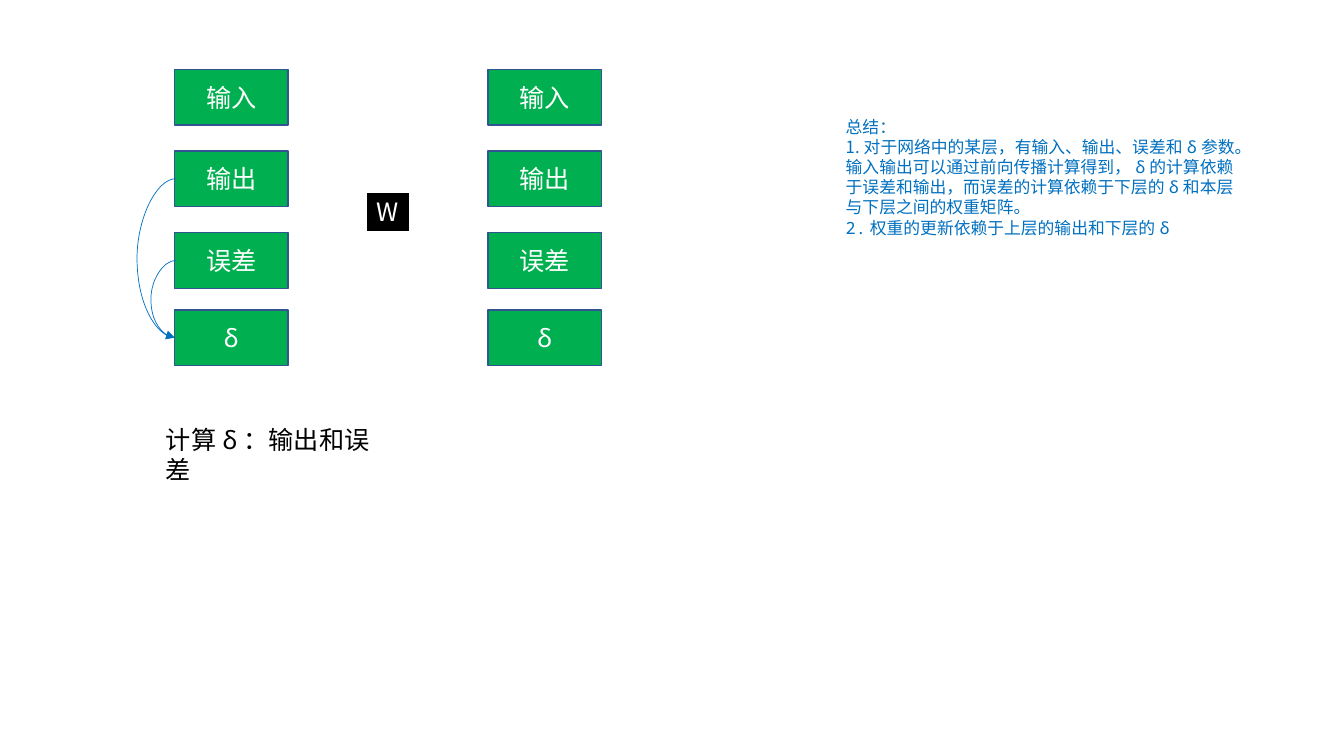
from lxml import etree
from pptx import Presentation
from pptx.dml.color import RGBColor
from pptx.enum.shapes import MSO_CONNECTOR, MSO_SHAPE
from pptx.enum.text import MSO_ANCHOR, MSO_AUTO_SIZE, PP_ALIGN
from pptx.oxml.ns import qn
from pptx.util import Pt

RECT = MSO_SHAPE.RECTANGLE
CURVE = MSO_CONNECTOR.CURVE
MIDDLE = MSO_ANCHOR.MIDDLE
CENTER = PP_ALIGN.CENTER
LEFT = PP_ALIGN.LEFT
GROW = MSO_AUTO_SIZE.SHAPE_TO_FIT_TEXT

SANS = "Noto Sans CJK SC"
MONO = "Noto Sans Mono"
GREEN, NAVY, BLUE = "00B050", "325491", "0070C0"
BLACK, WHITE = "000000", "FFFFFF"

BOX_W, BOX_H = 81, 39.7
LAYER_LEFTS = (124.7, 348.6)
ROWS = (
    (49.5, "输入", SANS),
    (107.8, "输出", SANS),
    (166.2, "误差", SANS),
    (221.3, "δ", MONO),
)
SUMMARY = (
    (("总结：", SANS),),
    (
        ("1.对于网络中的某层，有输入、输出、误差和", SANS),
        ("δ参数。输入输出可以通过前向传播计算得到，δ的计算依赖于误差和输出，"
         "而误差的计算依赖于下层的δ和本层与下层之间的权重矩阵。", MONO),
    ),
    (("2.权重的更新依赖于上层的输出和下层的δ", MONO),),
)
FORMULA = ((("计算", SANS), ("δ", MONO), ("：输出", SANS), ("和误差", MONO)),)


def rgb(value):
    return RGBColor.from_string(value)


def add_run(p, text, font, size, color):
    r = p.add_run()
    r.text = text
    r.font.name = font
    r.font.size = Pt(size)
    r.font.color.rgb = rgb(color)
    etree.SubElement(r.font._element, qn("a:ea"), typeface=font)


def add_text(s, left, top, width, height, paragraphs, size, color):
    sp = s.shapes.add_textbox(Pt(left), Pt(top), Pt(width), Pt(height))
    tf = sp.text_frame
    tf.word_wrap = True
    tf.auto_size = GROW
    for i, runs in enumerate(paragraphs):
        p = tf.add_paragraph() if i else tf.paragraphs[0]
        for text, font in runs:
            add_run(p, text, font, size, color)


def add_box(s, left, top, width, height, text, font, fill, line, weight, align):
    sp = s.shapes.add_shape(RECT, Pt(left), Pt(top), Pt(width), Pt(height))
    sp.shadow.inherit = False
    sp.fill.solid()
    sp.fill.fore_color.rgb = rgb(fill)
    sp.line.color.rgb = rgb(line)
    sp.line.width = Pt(weight)
    tf = sp.text_frame
    tf.vertical_anchor = MIDDLE
    p = tf.paragraphs[0]
    p.alignment = align
    add_run(p, text, font, 18, WHITE)
    return sp


def add_curved_arrow(s, x, y1, y2, bulge):
    c = s.shapes.add_connector(CURVE, Pt(x + 1), Pt(y1), Pt(x), Pt(y2))
    c.line.color.rgb = rgb(BLUE)
    c.line.width = Pt(0.5)
    etree.SubElement(c.line._get_or_add_ln(), qn("a:tailEnd"), type="triangle")
    pr = c._element.spPr
    etree.SubElement(pr, qn("a:effectLst"))
    guides = pr.find(qn("a:prstGeom")).find(qn("a:avLst"))
    etree.SubElement(guides, qn("a:gd"), name="adj1", fmla=f"val {bulge * 100000}")


def main():
    prs = Presentation()
    prs.slide_width, prs.slide_height = Pt(960), Pt(540)
    s = prs.slides.add_slide(prs.slide_layouts[6])

    add_text(s, 597, 79.7, 297.5, 94.5, SUMMARY, 12, BLUE)
    for left in LAYER_LEFTS:
        for top, text, font in ROWS:
            add_box(s, left, top, BOX_W, BOX_H, text, font, GREEN, NAVY, 1, CENTER)
    weight = add_box(s, 261.6, 136.8, 31, 29, "W", SANS, BLACK, WHITE, 1.5, LEFT)
    weight.text_frame.word_wrap = False

    output_y, error_y, delta_y = (row[0] + BOX_H / 2 for row in ROWS[1:])
    for y, bulge in ((output_y, 28), (error_y, 18)):
        add_curved_arrow(s, LAYER_LEFTS[0], y, delta_y, bulge)
    add_text(s, 111.4, 299.7, 170, 29, FORMULA, 18, BLACK)

    prs.save("out.pptx")


if __name__ == "__main__":
    main()
